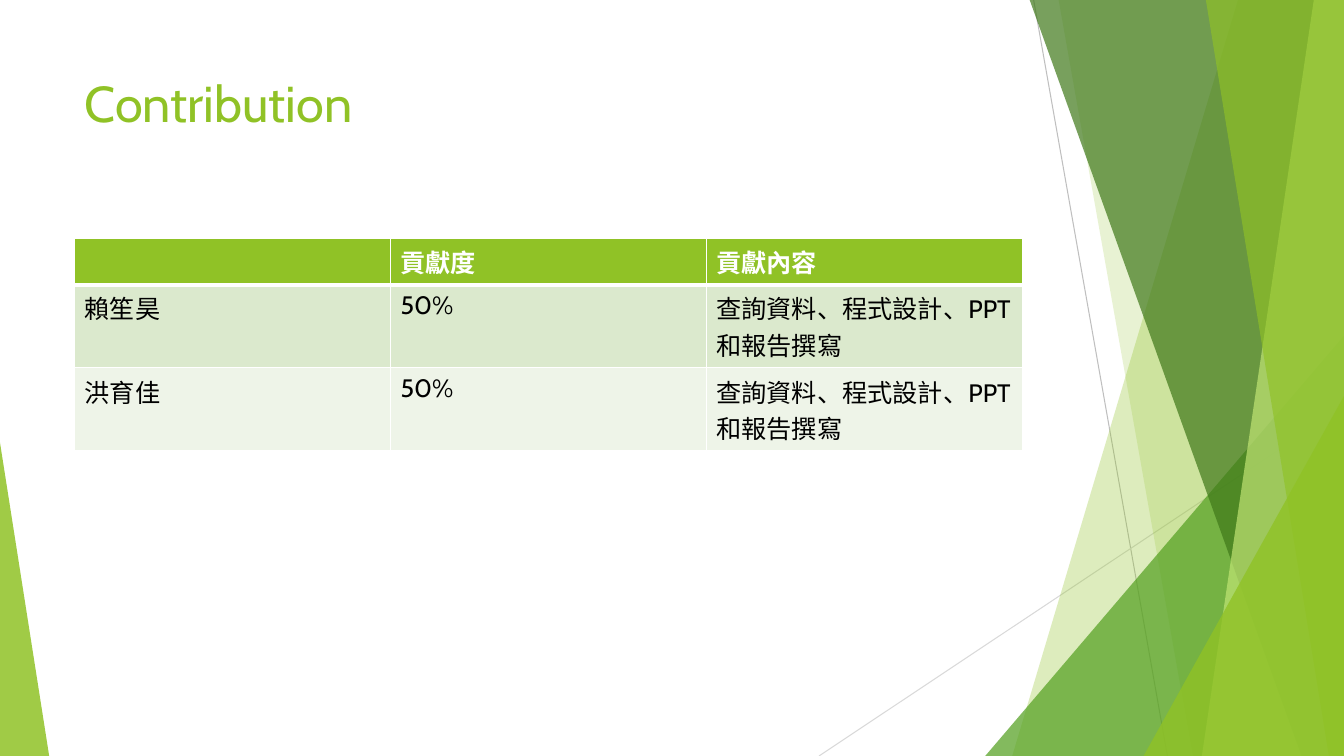
from lxml import etree
from pptx import Presentation
from pptx.dml import color
from pptx.enum import shapes, text
from pptx.oxml import ns
from pptx.util import Cm, Pt

HUES = {
    "lime": "90C226", "green": "54A021", "dark": "3F7819", "pale": "C0E474",
    "white": "FFFFFF", "black": "000000", "grey": "BFBFBF", "mist": "D9D9D9",
    "odd": "DBE9CD", "even": "EEF4E8",
}
WIDE, HIGH = 33.87, 19.05
ROWS = [
    ["", "貢獻度", "貢獻內容"],
    ["賴笙昊", "50%", "查詢資料、程式設計、PPT和報告撰寫"],
    ["洪育佳", "50%", "查詢資料、程式設計、PPT和報告撰寫"],
]


def tint(name):
    """Return the named colour."""
    return color.RGBColor.from_string(HUES[name])


def write(frame, words, size=18, hue="black", bold=False):
    """Put formatted words in a text frame."""
    para = frame.paragraphs[0]
    para.text = words
    font = para.font
    font.name, font.size, font.bold = "Cabin", Pt(size), bold
    font.color.rgb = tint(hue)


def paint(shape, hue, alpha):
    """Fill a shape with a see-through colour, without line or shadow."""
    shape.shadow.inherit = False
    shape.line.fill.background()
    shape.fill.solid()
    shape.fill.fore_color.rgb = tint(hue)
    tone = shape._element.spPr.find(".//" + ns.qn("a:srgbClr"))
    etree.SubElement(tone, ns.qn("a:alpha"), val=str(alpha * 1000))


def ray(slide, x1, y1, x2, y2, hue):
    """Draw a thin straight line."""
    line = slide.shapes.add_connector(
        shapes.MSO_CONNECTOR.STRAIGHT, Cm(x1), Cm(y1), Cm(x2), Cm(y2))
    line.line.color.rgb = tint(hue)
    line.line.width = Pt(0.75)
    etree.SubElement(line._element.spPr, ns.qn("a:effectLst"))


def wedge(slide, x, y, wide, high, peak, hue, alpha):
    """Draw a triangle with its peak at a share of its width."""
    shape = slide.shapes.add_shape(
        shapes.MSO_SHAPE.ISOSCELES_TRIANGLE, Cm(x), Cm(y), Cm(wide), Cm(high))
    shape.adjustments[0] = peak
    paint(shape, hue, alpha)


def shard(slide, right, top, foot, upper, lower, hue, alpha):
    """Draw a full-height facet whose left edge slants."""
    pen = slide.shapes.build_freeform(Cm(right - upper), Cm(top))
    pen.add_line_segments([
        (Cm(right), Cm(top)), (Cm(right), Cm(foot)), (Cm(right - lower), Cm(foot))])
    paint(pen.convert_to_shape(), hue, alpha)


def facets(slide, x, y, wide, high):
    """Draw the facets along the sides of the box."""
    right, foot = x + wide, y + high
    ray(slide, right - 7.82, y, right - 4.45, foot, "grey")
    ray(slide, right, y + 10.24, right - 13.23, foot, "mist")
    for upper, lower, hue, alpha in [(2.67, 8.36, "lime", 30), (7.19, 3.81, "lime", 20)]:
        shard(slide, right, y, foot, upper, lower, hue, alpha)
    wedge(slide, right - 9.04, foot - 10.59, 9.04, 10.59, 1, "green", 72)
    for upper, lower, hue, alpha in [
            (7.92, 1.07, "dark", 70), (0.76, 3.58, "pale", 70), (3.48, 0.38, "lime", 65)]:
        shard(slide, right, y, foot, upper, lower, hue, alpha)
    wedge(slide, right - 5.05, foot - 9.07, 5.05, 9.07, 1, "lime", 80)
    wedge(slide, x, foot - 7.9, 1.24, 7.9, 0, "lime", 85)


def head(slide, x, y, wide, high, words):
    """Place the title in front of the facets."""
    title = slide.shapes.title
    title.left, title.top, title.width, title.height = map(Cm, (x, y, wide, high))
    frame = title.text_frame
    frame.word_wrap = True
    frame.vertical_anchor = text.MSO_ANCHOR.TOP
    write(frame, words, size=36, hue="lime")
    frame.paragraphs[0].alignment = text.PP_ALIGN.LEFT
    slide.shapes._spTree.append(title._element)


def edge(cell, side, width):
    """Give one side of a cell a white border."""
    line = etree.SubElement(
        cell._tc.get_or_add_tcPr(), ns.qn("a:ln" + side), w=str(Pt(width)))
    fill = etree.SubElement(line, ns.qn("a:solidFill"))
    etree.SubElement(fill, ns.qn("a:srgbClr"), val=HUES["white"])


def grid(slide, x, y, wide, high, rows):
    """Place the table of shares, its rows growing with their text."""
    frame = slide.shapes.add_table(
        len(rows), len(rows[0]), Cm(x), Cm(y), Cm(wide), Cm(high))
    table = frame.table
    for r, row in enumerate(rows):
        table.rows[r].height = Cm(1.03)
        for c, words in enumerate(row):
            cell = table.cell(r, c)
            for side in "LRTB":
                thick = (r, side) in [(0, "B"), (1, "T")]
                edge(cell, side, 3 if thick else 1)
            cell.fill.solid()
            cell.fill.fore_color.rgb = tint(("lime", "odd", "even")[r])
            write(cell.text_frame, words, hue="black" if r else "white", bold=r == 0)
    frame.height = Cm(high)


def main():
    """Build and save the slide."""
    deck = Presentation()
    deck.slide_width, deck.slide_height = Cm(WIDE), Cm(HIGH)
    slide = deck.slides.add_slide(deck.slide_layouts.get_by_name("Title Only"))
    facets(slide, 0, 0, WIDE, HIGH)
    head(slide, 1.88, 1.7, 23.88, 3.66, "Contribution")
    grid(slide, 1.88, 6, 23.88, 4.6, ROWS)
    deck.save("out.pptx")


if __name__ == "__main__":
    main()
